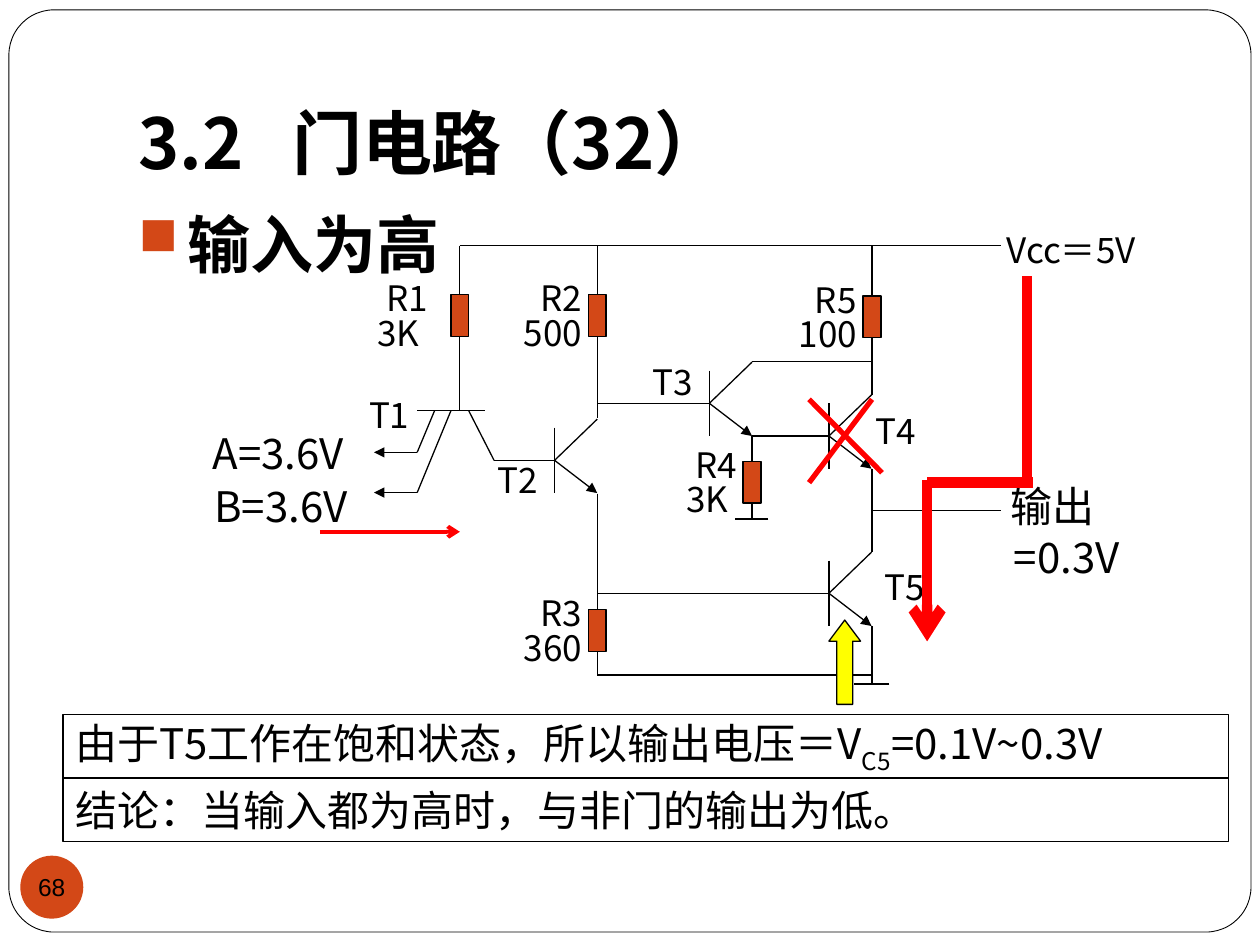
import pptx
import pptx.util
import pptx.dml.color
import pptx.enum.shapes
import pptx.enum.text
import pptx.oxml
import pptx.oxml.ns

Cm, Pt = pptx.util.Cm, pptx.util.Pt
RGB = pptx.dml.color.RGBColor.from_string
SHAPE = pptx.enum.shapes.MSO_SHAPE
ALIGN = pptx.enum.text.PP_ALIGN
ANCHOR = pptx.enum.text.MSO_ANCHOR
COLORS = {"ink": "000000", "paper": "FFFFFF", "accent": "D34817",
          "current": "FF0000", "pointer": "FFFF00"}
CJK = "Noto Sans CJK JP"
NS = pptx.oxml.ns.nsdecls("a")


def write(box, text, size, font=CJK, bold=False, wrap=True, side=0.25, marks=()):
    """Put one black paragraph in a box; marks are bullet or tab elements."""
    frame = box.text_frame
    frame.word_wrap = wrap
    frame.margin_left = frame.margin_right = Cm(side)
    frame.margin_top = frame.margin_bottom = Cm(0.13)
    line = frame.paragraphs[0]
    line.alignment = ALIGN.LEFT
    for mark in marks:
        line._p.get_or_add_pPr().append(pptx.oxml.parse_xml(mark))
    line.text = text
    line.font.size = Pt(size)
    line.font.name = font
    line.font.bold = bold
    line.font.color.rgb = RGB(COLORS["ink"])
    return line


def wire(x1, y1, x2, y2, color="ink", width=0.75, head=None):
    connector = shapes.add_connector(pptx.enum.shapes.MSO_CONNECTOR.STRAIGHT,
                                     Cm(x1), Cm(y1), Cm(x2), Cm(y2))
    connector.line.color.rgb = RGB(COLORS[color])
    connector.line.width = Pt(width)
    if head:
        connector.line._get_or_add_ln().append(
            pptx.oxml.parse_xml(f'<a:tailEnd {NS} type="{head}"/>'))
    connector._element.spPr.append(pptx.oxml.parse_xml(f"<a:effectLst {NS}/>"))
    return connector


deck = pptx.Presentation()
deck.slide_width, deck.slide_height = Cm(25.4), Cm(19.05)
shapes = deck.slides.add_slide(deck.slide_layouts[6]).shapes

# Frame, title, heading and page number
frame = shapes.add_shape(SHAPE.ROUNDED_RECTANGLE, Cm(0.18), Cm(0.2), Cm(25.04), Cm(18.59))
frame.adjustments[0] = 0.049
frame.shadow.inherit = False
frame.fill.solid()
frame.fill.fore_color.rgb = RGB(COLORS["paper"])
frame.line.color.rgb = RGB(COLORS["ink"])
frame.line.width = Pt(0.5)

title = shapes.add_textbox(Cm(2.54), Cm(0.76), Cm(21.59), Cm(3.18))
write(title, "3.2\t门电路（32）", 40, bold=True,
      marks=[f'<a:tabLst {NS}><a:tab pos="{Cm(3.1)}" algn="l"/></a:tabLst>'])
title.text_frame.vertical_anchor = ANCHOR.BOTTOM
title.text_frame.margin_bottom = Cm(0.25)

heading = shapes.add_textbox(Cm(2.54), Cm(4.01), Cm(21.59), Cm(12.7))
heading_line = write(heading, "输入为高", 36, "Arial", bold=True, marks=[
    f'<a:buClr {NS}><a:srgbClr val="{COLORS["accent"]}"/></a:buClr>',
    f'<a:buSzPct {NS} val="85000"/>',
    f'<a:buChar {NS} char="■"/>'])
heading_line._p.pPr.set("marL", str(Cm(1)))
heading_line._p.pPr.set("indent", str(Cm(-1)))

page = shapes.add_shape(SHAPE.OVAL, Cm(0.41), Cm(17.25), Cm(1.27), Cm(1.27))
page.shadow.inherit = False
page.fill.solid()
page.fill.fore_color.rgb = RGB(COLORS["accent"])
page.line.fill.background()
write(page, "68", 14, "Arial", wrap=False, side=0).alignment = ALIGN.CENTER
page.text_frame.vertical_anchor = ANCHOR.MIDDLE

# Resistors: name, value, centre x, top y, upper lead start, lower lead end,
# label x, shift of the value to the left of the name
for name, value, x, top, start, end, label_x, shift in [
        ("R1", "3K", 9.27, 5.94, 4.95, 8.28, 7.54, 0.18),
        ("R2", "500", 12.04, 5.94, 4.95, 8.43, 10.64, 0.33),
        ("R5", "100", 17.58, 5.97, 4.95, 7.97, 16.18, 0.33),
        ("R4", "3K", 15.16, 9.3, 8.79, 10.46, 13.77, 0.18),
        ("R3", "360", 12.04, 12.29, 9.95, 13.61, 10.64, 0.33)]:
    resistor = shapes.add_shape(SHAPE.RECTANGLE, Cm(x - 0.18), Cm(top), Cm(0.36), Cm(0.84))
    resistor.shadow.inherit = False
    resistor.fill.solid()
    resistor.fill.fore_color.rgb = RGB(COLORS["accent"])
    resistor.line.color.rgb = RGB(COLORS["ink"])
    resistor.line.width = Pt(0.75)
    wire(x, start, x, top).end_connect(resistor, 0)
    wire(x, top + 0.84, x, end).begin_connect(resistor, 2)
    write(shapes.add_textbox(Cm(label_x), Cm(top - 0.49), Cm(1.56), Cm(1.1)), name, 20)
    write(shapes.add_textbox(Cm(label_x - shift), Cm(top + 0.2), Cm(1.9), Cm(1.1)), value, 20)

# Transistors T2 to T5, placed by the middle of the base
for x, y in [(11.18, 9.28), (14.3, 8.13), (16.71, 8.79), (16.71, 11.96)]:
    wire(x, y - 0.66, x, y + 0.66)
    wire(x, y, x + 0.86, y + 0.66, head="triangle")
    wire(x + 0.86, y - 0.83, x, y)

# Transistor T1 with its two emitters
wire(8.41, 8.28, 9.78, 8.28)
for x, y in [(8.76, 9.12), (9.09, 9.93)]:
    wire(x, 8.28, 8.41, y)
    wire(8.41, y, 7.54, y, head="triangle")
wire(9.45, 8.28, 9.96, 9.28)

for route in [
        (9.96, 9.28, 11.18, 9.28),     # T1 to T2
        (9.27, 4.95, 20.17, 4.95),     # supply
        (14.3, 8.13, 12.04, 8.13),     # T2 to T3
        (15.16, 7.29, 17.58, 7.29),    # T3 to R5
        (15.16, 8.79, 16.71, 8.79),    # T3 to T4
        (15.49, 10.46, 14.81, 10.46),  # ground of R4
        (16.71, 11.96, 12.04, 11.96),  # T2 to T5
        (17.58, 9.45, 17.58, 11.13),   # T4 to T5
        (17.58, 12.62, 17.58, 13.79),  # T5 to ground
        (17.93, 13.79, 17.22, 13.79),  # ground of T5
        (12.04, 13.61, 17.58, 13.61),  # R3 to ground
        (17.58, 10.29, 20.17, 10.29)]:  # output
    wire(*route)

for text, x, y in [("T1", 7.19, 7.8), ("T2", 9.78, 9.12), ("T3", 12.9, 7.14),
                   ("T4", 17.4, 8.13), ("T5", 17.58, 11.28)]:
    write(shapes.add_textbox(Cm(x), Cm(y), Cm(1.55), Cm(1.1)), text, 20)
write(shapes.add_textbox(Cm(20.04), Cm(4.47), Cm(3.45), Cm(1.1)), "Vcc＝5V", 20)

# T4 is cut off, T5 conducts
wire(16.31, 8.05, 17.78, 9.53, "current", 3)
wire(17.58, 8.05, 16.31, 9.73, "current", 3)
pointer = shapes.add_shape(SHAPE.UP_ARROW, Cm(16.71), Cm(12.5), Cm(0.64), Cm(1.7))
pointer.adjustments[0], pointer.adjustments[1] = 0.5, 0.667
pointer.shadow.inherit = False
pointer.fill.solid()
pointer.fill.fore_color.rgb = RGB(COLORS["pointer"])
pointer.line.color.rgb = RGB(COLORS["ink"])
pointer.line.width = Pt(0.75)

# Conclusions, as (text, baseline) parts
for y, parts in [
        (14.4, [("由于T5工作在饱和状态，所以输出电压＝V", 0), ("C5", -25000), ("=0.1V~0.3V", 0)]),
        (15.68, [("结论：当输入都为高时，与非门的输出为低。", 0)])]:
    conclusion = shapes.add_shape(SHAPE.RECTANGLE, Cm(1.27), Cm(y), Cm(23.5), Cm(1.29))
    conclusion.shadow.inherit = False
    conclusion.fill.background()
    conclusion.line.color.rgb = RGB(COLORS["ink"])
    conclusion.line.width = Pt(0.75)
    line = write(conclusion, parts[0][0], 24)
    for text, baseline in parts[1:]:
        run = line.add_run()
        run.text = text
        if baseline:
            run.font._element.set("baseline", str(baseline))

# Input and output levels
for text, x, y, width, side in [("A=3.6V", 4.29, 8.48, 3.33, 0), ("B=3.6V", 4.32, 9.55, 3.07, 0),
                                ("输出", 20.12, 9.55, 3.38, 0.25), ("=0.3V", 20.19, 10.59, 3.02, 0.25)]:
    write(shapes.add_textbox(Cm(x), Cm(y), Cm(width), Cm(1.27)), text, 24, side=side)

# Current paths
wire(6.45, 10.72, 9.27, 10.72, "current", 2.25, "arrow")
wire(18.69, 9.68, 18.69, 12.93, "current", 6, "arrow")
wire(20.83, 9.73, 18.69, 9.73, "current", 6)
wire(20.7, 9.78, 20.7, 5.56, "current", 6)

deck.save("out.pptx")
